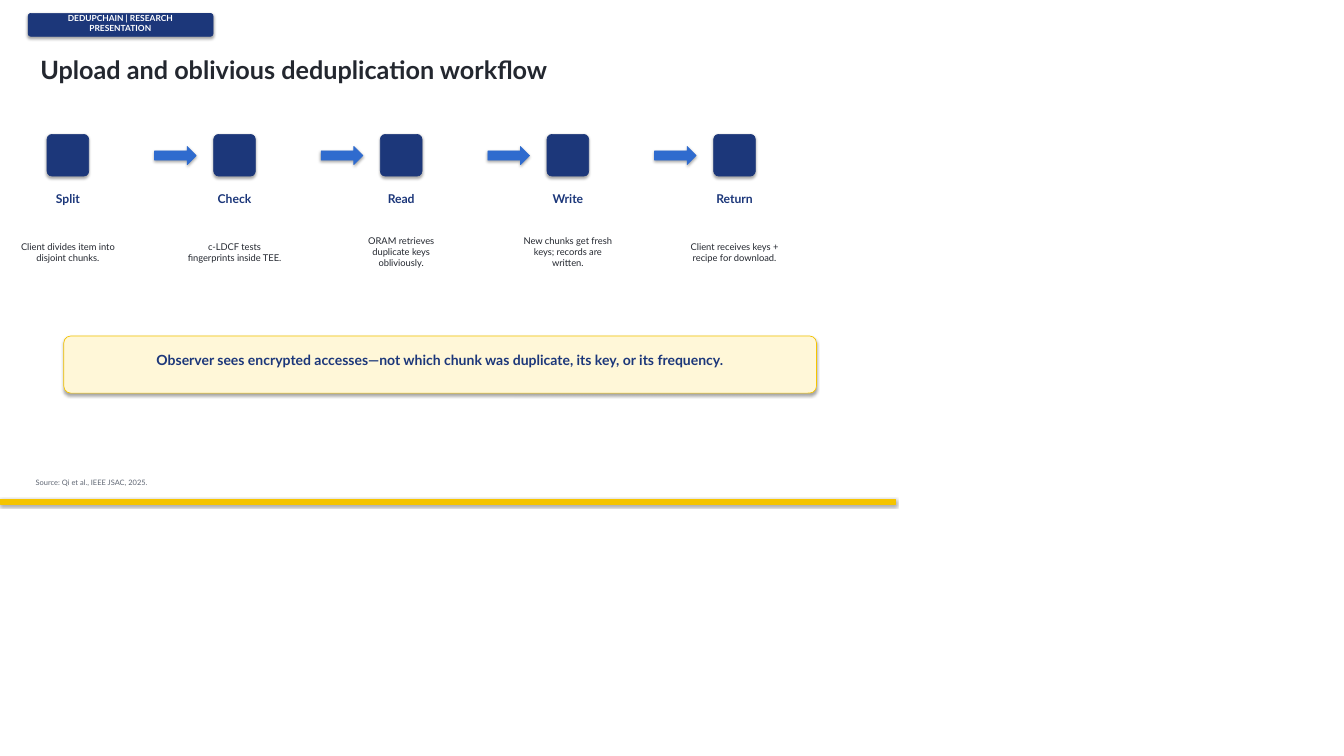
from pptx import Presentation
from pptx.dml.color import RGBColor
from pptx.enum.shapes import MSO_SHAPE
from pptx.enum.text import MSO_ANCHOR, MSO_AUTO_SIZE, PP_ALIGN
from pptx.util import Inches, Pt

NAVY, BLUE, GOLD, CREAM = "1C377A", "2F6BCE", "F5C400", "FFF7D8"
INK, GRAY, WHITE = "23272F", "5F6673", "FFFFFF"

STEPS = [
    ("Split", "Client divides item into disjoint chunks."),
    ("Check", "c-LDCF tests fingerprints inside TEE."),
    ("Read", "ORAM retrieves duplicate keys obliviously."),
    ("Write", "New chunks get fresh keys; records are written."),
    ("Return", "Client receives keys + recipe for download."),
]
STEP_PITCH = 2.48
FIRST_CENTER = 1.01
ICON_SIZE = 0.62


def color(value):
    return RGBColor.from_string(value)


class SlideBuilder:
    font_name = "Lato"
    frame_format = {
        "word_wrap": True,
        "auto_size": MSO_AUTO_SIZE.SHAPE_TO_FIT_TEXT,
        "vertical_anchor": MSO_ANCHOR.MIDDLE,
        "margin_left": Inches(0.05),
        "margin_right": Inches(0.05),
        "margin_top": Inches(0.05),
        "margin_bottom": Inches(0.05),
    }

    def __init__(self, presentation):
        title_only = presentation.slide_layouts[5]
        self.slide = presentation.slides.add_slide(title_only)

    def fill_text(self, shape, text, size, text_color, bold, align):
        frame = shape.text_frame
        for name, value in self.frame_format.items():
            setattr(frame, name, value)
        paragraph = frame.paragraphs[0]
        paragraph.text = text
        paragraph.alignment = align
        font_format = {"name": self.font_name, "size": Pt(size), "bold": bold}
        for name, value in font_format.items():
            setattr(paragraph.font, name, value)
        paragraph.font.color.rgb = color(text_color)

    def title(self, text, left, top, width, height):
        shape = self.slide.shapes.title
        place = {"left": left, "top": top, "width": width, "height": height}
        for name, value in place.items():
            setattr(shape, name, Inches(value))
        self.fill_text(shape, text, 27, INK, True, PP_ALIGN.LEFT)

    def text(self, text, left, top, width, height, size, text_color,
             bold=False, align=PP_ALIGN.CENTER):
        shape = self.slide.shapes.add_textbox(
            Inches(left), Inches(top), Inches(width), Inches(height))
        self.fill_text(shape, text, size, text_color, bold, align)

    def block(self, kind, left, top, width, height, fill, line=None):
        """Add a filled shape that keeps the soft shadow of the theme."""
        shape = self.slide.shapes.add_shape(
            kind, Inches(left), Inches(top), Inches(width), Inches(height))
        shape.fill.solid()
        shape.fill.fore_color.rgb = color(fill)
        shape.line.color.rgb = color(line or fill)
        shape.line.width = Pt(0.75)
        if kind == MSO_SHAPE.ROUNDED_RECTANGLE:
            shape.adjustments[0] = 0.12

    def step(self, center, label, description):
        self.block(MSO_SHAPE.ROUNDED_RECTANGLE, center - ICON_SIZE / 2, 2,
                   ICON_SIZE, ICON_SIZE, NAVY)
        self.text(label, center - 0.56, 2.8, 1.12, 0.3, 13, NAVY, bold=True)
        self.text(description, center - 0.79, 3.25, 1.58, 1, 10, INK)


def main():
    presentation = Presentation()
    presentation.slide_width = Inches(20)
    presentation.slide_height = Inches(11.25)
    builder = SlideBuilder(presentation)

    builder.block(MSO_SHAPE.ROUNDED_RECTANGLE, 0.42, 0.2, 2.75, 0.34, NAVY)
    builder.text("DEDUPCHAIN | RESEARCH PRESENTATION",
                 0.5, 0.2, 2.58, 0.28, 9, WHITE, bold=True)
    builder.title("Upload and oblivious deduplication workflow",
                  0.55, 0.72, 8.8, 0.62)

    for index, (label, description) in enumerate(STEPS):
        center = FIRST_CENTER + index * STEP_PITCH
        if index:
            builder.block(MSO_SHAPE.RIGHT_ARROW, center - 1.19, 2.18,
                          0.62, 0.27, BLUE)
        builder.step(center, label, description)

    builder.block(MSO_SHAPE.ROUNDED_RECTANGLE, 0.95, 5, 11.2, 0.85, CREAM, GOLD)
    builder.text("Observer sees encrypted accesses—not which chunk was "
                 "duplicate, its key, or its frequency.",
                 1.2, 5.18, 10.7, 0.35, 15, NAVY, bold=True)

    builder.block(MSO_SHAPE.RECTANGLE, 0, 7.43, 13.33, 0.07, GOLD)
    builder.text("Source: Qi et al., IEEE JSAC, 2025.",
                 0.48, 7.07, 7.6, 0.22, 8, GRAY, align=PP_ALIGN.LEFT)

    presentation.save("out.pptx")


if __name__ == "__main__":
    main()
